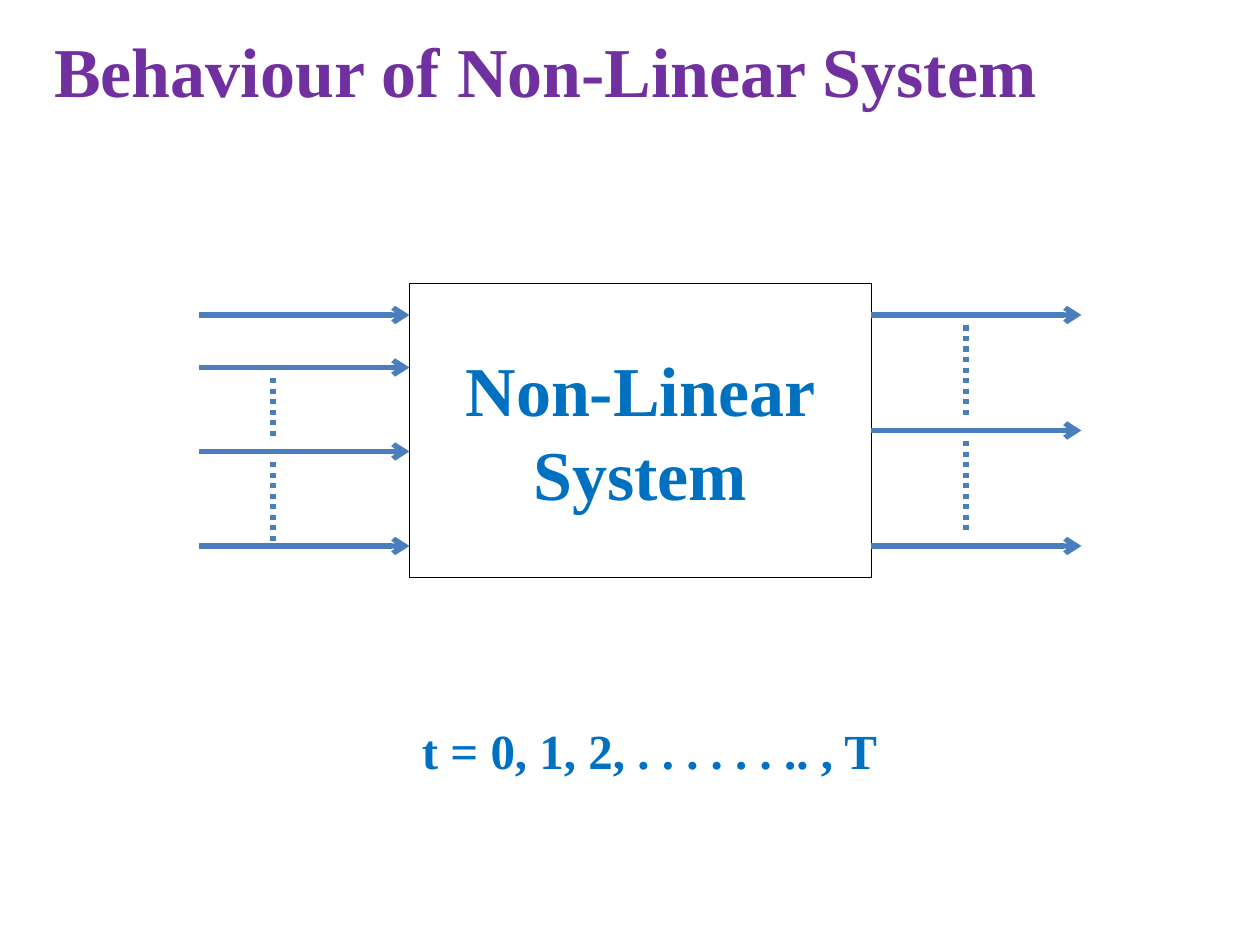
"""Build a slide showing the inputs and outputs of a non-linear system over time."""
import pptx
import pptx.dml.color
import pptx.enum.dml
import pptx.enum.shapes
import pptx.enum.text
import pptx.oxml.xmlchemy
import pptx.util

PURPLE = pptx.dml.color.RGBColor(0x70, 0x30, 0xA0)
BLUE = pptx.dml.color.RGBColor(0x00, 0x70, 0xC0)
LINE_BLUE = pptx.dml.color.RGBColor(0x4B, 0x7E, 0xBC)
BLACK = pptx.dml.color.RGBColor(0, 0, 0)
WHITE = pptx.dml.color.RGBColor(255, 255, 255)

FONT = "Times New Roman"
COLUMNS, ROWS = 120, 90
WIDTH, HEIGHT = pptx.util.Inches(10), pptx.util.Inches(7.5)

TITLE = ("Behaviour of Non-Linear System", (4, 2, 113, 9.2), 40, PURPLE)
TIME_STEPS = ("t = 0, 1, 2, . . . . . . .. , T", (39, 68, 46, 6.8), 28, BLUE)
SYSTEM = ("Non-Linear\nSystem", (39, 27, 44, 28), 40, BLUE)
SIGNALS = [
    {"start": 19, "arrow_rows": (30, 35, 43, 52),
     "dots_column": 26, "dots": ((36, 42), (44, 52))},
    {"start": 83, "arrow_rows": (30, 41, 52),
     "dots_column": 92, "dots": ((31, 40), (42, 51))},
]
ARROW_SPAN = 20


def across(column):
    return round(WIDTH * column / COLUMNS)


def down(row):
    return round(HEIGHT * row / ROWS)


def place(area):
    left, top, width, height = area
    return across(left), down(top), across(width), down(height)


def write(shape, text, size, color, alignment):
    text_frame = shape.text_frame
    text_frame.word_wrap = True
    text_frame.text = text
    for paragraph in text_frame.paragraphs:
        paragraph.alignment = alignment
        for run in paragraph.runs:
            run.font.name = FONT
            run.font.size = pptx.util.Pt(size)
            run.font.bold = True
            run.font.color.rgb = color


def add_label(slide, text, area, size, color):
    label = slide.shapes.add_textbox(*place(area))
    write(label, text, size, color, pptx.enum.text.PP_ALIGN.LEFT)
    label.text_frame.auto_size = pptx.enum.text.MSO_AUTO_SIZE.SHAPE_TO_FIT_TEXT


def add_system(slide, text, area, size, color):
    box = slide.shapes.add_shape(
        pptx.enum.shapes.MSO_SHAPE.RECTANGLE, *place(area))
    box.shadow.inherit = False
    box.fill.solid()
    box.fill.fore_color.rgb = WHITE
    box.line.color.rgb = BLACK
    box.line.width = pptx.util.Pt(1)
    write(box, text, size, color, pptx.enum.text.PP_ALIGN.CENTER)
    box.text_frame.vertical_anchor = pptx.enum.text.MSO_ANCHOR.MIDDLE


def add_line(slide, start, end):
    connector = slide.shapes.add_connector(
        pptx.enum.shapes.MSO_CONNECTOR.STRAIGHT,
        across(start[0]), down(start[1]), across(end[0]), down(end[1]))
    connector.line.color.rgb = LINE_BLUE
    connector.line.width = pptx.util.Pt(3)
    properties = connector._element.spPr
    properties.append(pptx.oxml.xmlchemy.OxmlElement("a:effectLst"))
    return connector


def add_arrow(slide, start, end):
    outline = add_line(slide, start, end).line._get_or_add_ln()
    arrowhead = pptx.oxml.xmlchemy.OxmlElement("a:tailEnd")
    arrowhead.set("type", "arrow")
    outline.append(arrowhead)


def add_dots(slide, start, end):
    dots = add_line(slide, start, end)
    dots.line.dash_style = pptx.enum.dml.MSO_LINE.ROUND_DOT


def main():
    presentation = pptx.Presentation()
    presentation.slide_width, presentation.slide_height = WIDTH, HEIGHT
    slide = presentation.slides.add_slide(presentation.slide_layouts[6])
    add_label(slide, *TITLE)
    add_system(slide, *SYSTEM)
    for signal in SIGNALS:
        start, column = signal["start"], signal["dots_column"]
        for row in signal["arrow_rows"]:
            add_arrow(slide, (start, row), (start + ARROW_SPAN, row))
        for top, bottom in signal["dots"]:
            add_dots(slide, (column, top), (column, bottom))
    add_label(slide, *TIME_STEPS)
    presentation.save("out.pptx")


if __name__ == "__main__":
    main()
